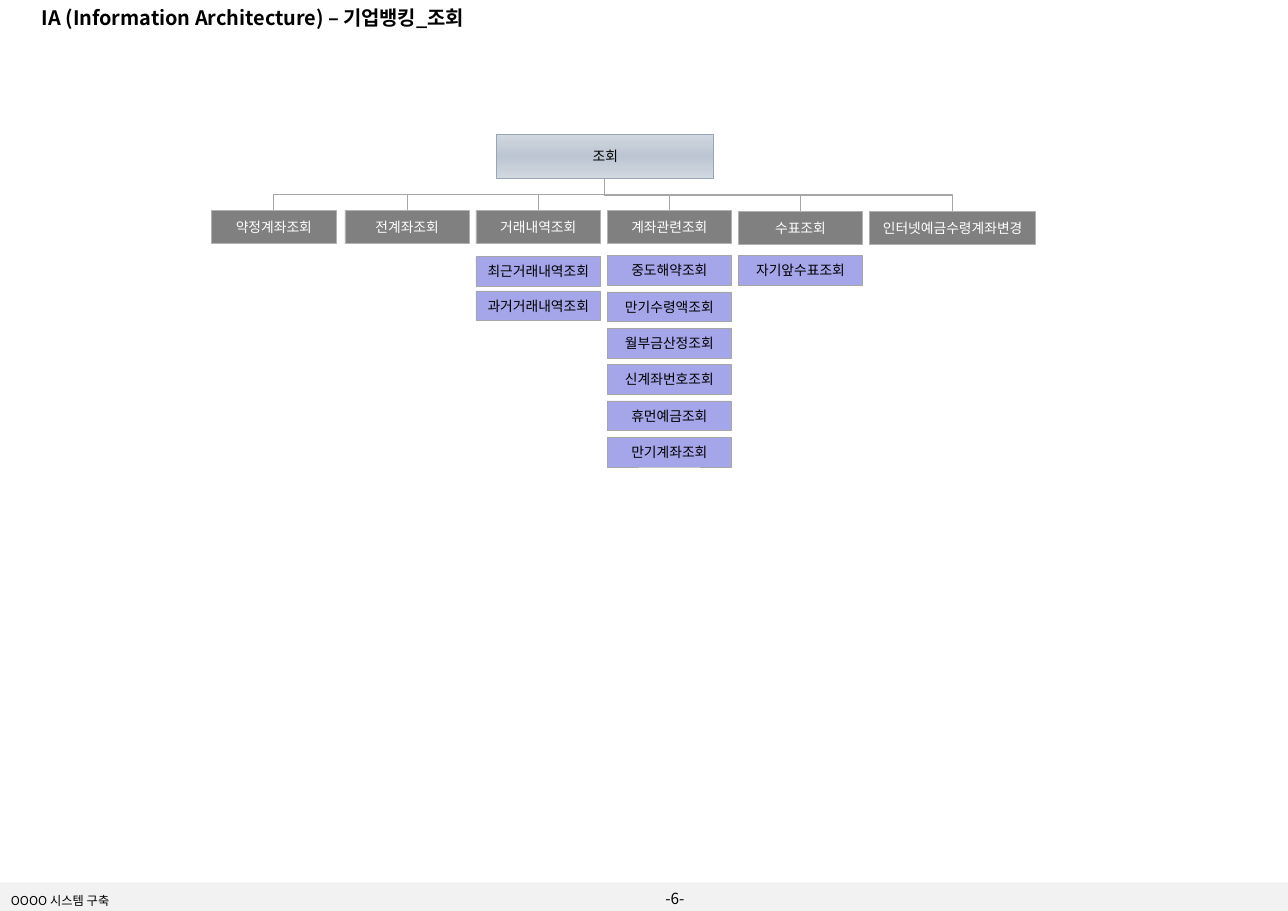
from copy import deepcopy
from dataclasses import dataclass

from pptx import Presentation
from pptx.dml.color import RGBColor as Rgb
from pptx.enum.shapes import MSO_CONNECTOR as Connector, MSO_SHAPE as Shape
from pptx.enum.text import MSO_ANCHOR as Anchor, PP_ALIGN as Align
from pptx.oxml.ns import qn
from pptx.oxml.xmlchemy import OxmlElement as Element
from pptx.util import Inches, Pt


@dataclass(frozen=True)
class Theme:
    font: str = "Noto Sans CJK KR"
    black: str = "000000"
    white: str = "FFFFFF"
    footer: str = "F2F2F2"
    root_stops: tuple = ("D2D8E0", "BCC5D2", "D2D8E0")
    root_line: str = "96A5B8"
    head: str = "808080"
    head_line: str = "B2B2B2"
    leaf: str = "A5A5E9"
    link: str = "A6A6A6"
    title_size: float = 13
    page_size: float = 10
    node_size: float = 9
    footer_size: float = 8
    thin: float = 0.25
    medium: float = 0.75


class SiteMap:
    def __init__(self, page, theme):
        self.page = page
        self.theme = theme

    def add_text(self, box, text, size, color, inset, align=Align.LEFT, bold=False):
        frame = box.text_frame
        frame.word_wrap = True
        frame.vertical_anchor = Anchor.MIDDLE
        frame.margin_left = frame.margin_right = Inches(inset)
        frame.margin_top = frame.margin_bottom = Inches(min(inset, 0.05))
        para = frame.paragraphs[0]
        para.alignment = align
        span = para.add_run()
        span.text = text
        span.font.name = self.theme.font
        span.font.size = Pt(size)
        span.font.bold = bold
        span.font.color.rgb = Rgb.from_string(color)
        east_asian = Element("a:ea")
        east_asian.set("typeface", self.theme.font)
        span.font._element.append(east_asian)

    def label(self, place, text, size, inset=0.11, bold=False):
        box = self.page.shapes.add_textbox(*map(Inches, place))
        self.add_text(box, text, size, self.theme.black, inset, bold=bold)

    def rect(self, place, fill, line=None, width=0):
        box = self.page.shapes.add_shape(Shape.RECTANGLE, *map(Inches, place))
        box.shadow.inherit = False
        if isinstance(fill, tuple):
            self.gradient(box, fill)
        else:
            box.fill.solid()
            box.fill.fore_color.rgb = Rgb.from_string(fill)
        if line:
            box.line.color.rgb = Rgb.from_string(line)
            box.line.width = Pt(width)
        else:
            box.line.fill.background()
        return box

    def gradient(self, box, colors):
        box.fill.gradient()
        box.fill.gradient_angle = 90
        stops = box._element.spPr.find(qn("a:gradFill")).find(qn("a:gsLst"))
        stops.append(deepcopy(stops[0]))
        for index, (stop, color) in enumerate(zip(box.fill.gradient_stops, colors)):
            stop.position = index / (len(colors) - 1)
            stop.color.rgb = Rgb.from_string(color)

    def node(self, place, text, fill, line, width, color, inset):
        box = self.rect(place, fill, line, width)
        self.add_text(box, text, self.theme.node_size, color, inset, Align.CENTER)

    def branch(self, start_x, start_y, end_x, end_y):
        drop, reach = end_y - start_y, abs(end_x - start_x)
        middle_x, middle_y = (start_x + end_x) / 2, (start_y + end_y) / 2
        sides = [middle_x - drop / 2, middle_x + drop / 2]
        rightward = end_x > start_x
        if rightward:
            sides.reverse()
        link = self.page.shapes.add_connector(
            Connector.ELBOW,
            Inches(sides[0]), Inches(middle_y - reach / 2),
            Inches(sides[1]), Inches(middle_y + reach / 2),
        )
        properties = link._element.spPr
        degrees = 270 if rightward else 90
        properties.find(qn("a:xfrm")).set("rot", str(degrees * 60000))
        link.line.color.rgb = Rgb.from_string(self.theme.link)
        link.line.width = Pt(self.theme.medium)
        properties.append(Element("a:effectLst"))


COLUMNS = (
    (1.92, 1.91, 1.13, "약정계좌조회", 0, 0, ()),
    (3.13, 1.91, 1.13, "전계좌조회", 0, 0, ()),
    (4.32, 1.91, 1.13, "거래내역조회", 2.33, 0.31, ("최근거래내역조회", "과거거래내역조회")),
    (5.51, 1.91, 1.13, "계좌관련조회", 2.32, 0.33, (
        "중도해약조회", "만기수령액조회", "월부금산정조회",
        "신계좌번호조회", "휴먼예금조회", "만기계좌조회",
    )),
    (6.7, 1.92, 1.13, "수표조회", 2.32, 0.33, ("자기앞수표조회",)),
    (7.89, 1.92, 1.51, "인터넷예금수령계좌변경", 0, 0, ()),
)


def main():
    deck = Presentation()
    deck.slide_width, deck.slide_height = Inches(11.69), Inches(8.27)
    theme = Theme()
    site = SiteMap(deck.slides.add_slide(deck.slide_layouts[6]), theme)

    site.rect((0, 8.01, 11.69, 0.26), theme.footer)
    site.label((5.93, 8.04, 0.5, 0.23), "-6-", theme.page_size)
    site.label((0, 8.07, 4.88, 0.21), "OOOO 시스템 구축", theme.footer_size, 0.1)
    site.label((0.27, -0.01, 6.69, 0.33),
               "IA (Information Architecture) – 기업뱅킹_조회", theme.title_size, bold=True)

    site.node((4.51, 1.22, 1.97, 0.4), "조회", theme.root_stops,
              theme.root_line, theme.medium, theme.black, 0.04)
    for left, top, width, head, first, pitch, leaves in COLUMNS:
        site.branch(5.49, 1.62, left + width / 2, top)
        site.node((left, top, width, 0.3), head, theme.head,
                  theme.head_line, theme.thin, theme.white, 0)
        for row, leaf in enumerate(leaves):
            site.node((left, first + row * pitch, width, 0.27), leaf, theme.leaf,
                      theme.link, theme.thin, theme.black, 0.04)

    deck.save("out.pptx")


if __name__ == "__main__":
    main()
